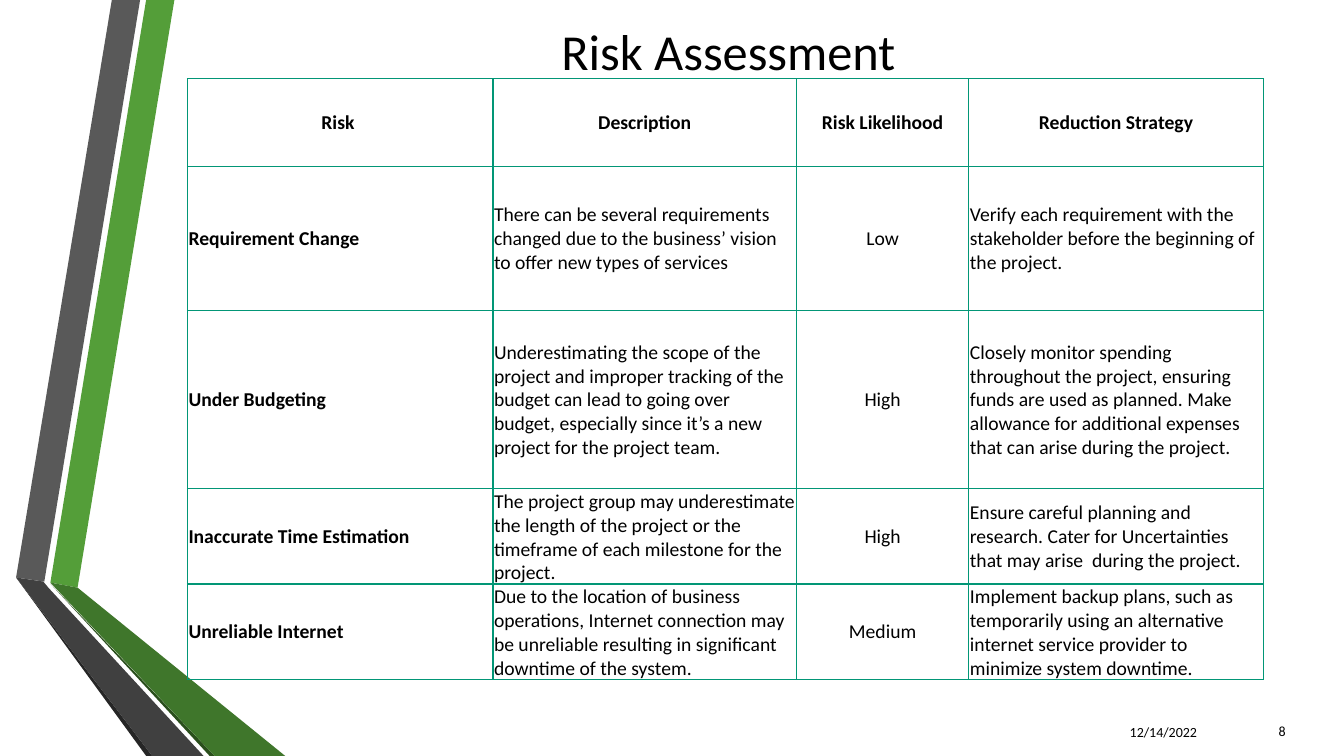
from lxml.etree import SubElement
from pptx import Presentation
from pptx.dml.color import RGBColor
from pptx.enum.text import MSO_ANCHOR, PP_ALIGN
from pptx.oxml.ns import qn
from pptx.util import Pt

PX = 9144  # EMU per px, 100 px to the inch
FONT = "Calibri"
BLACK = RGBColor(0x00, 0x00, 0x00)
TEAL = RGBColor(0x02, 0x96, 0x76)
GREEN = RGBColor(0x54, 0x9E, 0x39)
MID_GREEN = RGBColor(0x3F, 0x76, 0x2B)
DARK_GREEN = RGBColor(0x2A, 0x4F, 0x1C)
GREY = RGBColor(0x59, 0x59, 0x59)
MID_GREY = RGBColor(0x40, 0x40, 0x40)
DARK_GREY = RGBColor(0x26, 0x26, 0x26)

# Outlines relative to the top left corner of the ribbon area
RIBBONS = [
    (GREEN, [(34, 578), (61, 583), (157, 0), (129, 0)]),
    (GREY, [(123, 0), (95, 0), (0, 573), (28, 577)]),
    (DARK_GREY, [(0, 573), (129, 750), (135, 750)]),
    (DARK_GREEN, [(34, 579), (192, 750), (197, 750)]),
    (MID_GREEN, [(34, 578), (197, 750), (267, 750), (61, 583)]),
    (MID_GREY, [(186, 750), (32, 583), (27, 577), (0, 573), (135, 750)]),
]

COLUMN_WIDTHS = [303, 301, 171, 292]
ROW_HEIGHTS = [87, 143, 177, 86, 91]
LIKELIHOOD_COLUMN = 2
RISKS = [
    ("Risk ", "Description", "Risk Likelihood", "Reduction Strategy"),
    ("Requirement Change",
     "There can be several requirements changed due to the business’ vision "
     "to offer new types of services",
     "Low",
     "Verify each requirement with the stakeholder before the beginning of the project."),
    ("Under Budgeting",
     "Underestimating the scope of the project and improper tracking of the budget "
     "can lead to going over budget, especially since it’s a new project for the "
     "project team.",
     "High",
     "Closely monitor spending throughout the project, ensuring funds are used as "
     "planned. Make allowance for additional expenses that can arise during the project."),
    ("Inaccurate Time Estimation",
     "The project group may underestimate the length of the project or the timeframe "
     "of each milestone for the project.",
     "High",
     "Ensure careful planning and research. Cater for Uncertainties that may arise  "
     "during the project."),
    ("Unreliable Internet",
     "Due to the location of business operations, Internet connection may be "
     "unreliable resulting in significant downtime of the system.",
     "Medium",
     "Implement backup plans, such as temporarily using an alternative internet "
     "service provider to minimize system downtime."),
]


def style_paragraph(paragraph, size, align, bold=False):
    paragraph.alignment = align
    paragraph.font.name = FONT
    paragraph.font.size = Pt(size)
    paragraph.font.bold = bold
    paragraph.font.color.rgb = BLACK


def add_ribbons(slide, left, top):
    for color, outline in RIBBONS:
        points = [(left + x, top + y) for x, y in outline]
        builder = slide.shapes.build_freeform(*points[0], scale=PX)
        builder.add_line_segments(points[1:], close=True)
        ribbon = builder.convert_to_shape()
        ribbon.shadow.inherit = False
        ribbon.fill.solid()
        ribbon.fill.fore_color.rgb = color
        ribbon.line.fill.background()


def add_label(slide, left, top, width, height, text, size, align):
    label = slide.shapes.add_textbox(left * PX, top * PX, width * PX, height * PX)
    frame = label.text_frame
    frame.word_wrap = True
    frame.vertical_anchor = MSO_ANCHOR.MIDDLE
    frame.text = text
    style_paragraph(frame.paragraphs[0], size, align)


def add_cell_borders(cell):
    """Draw all four borders; they must precede the fill in the cell properties."""
    properties = cell._tc.get_or_add_tcPr()
    for side in ("a:lnL", "a:lnR", "a:lnT", "a:lnB"):
        border = SubElement(properties, qn(side), w=str(Pt(1)))
        fill = SubElement(border, qn("a:solidFill"))
        SubElement(fill, qn("a:srgbClr"), val=str(TEAL))


def add_risk_table(slide, left, top):
    frame = slide.shapes.add_table(
        len(RISKS), len(COLUMN_WIDTHS), left * PX, top * PX,
        sum(COLUMN_WIDTHS) * PX, sum(ROW_HEIGHTS) * PX)
    table = frame.table
    table.first_row = table.horz_banding = False
    for column, width in zip(table.columns, COLUMN_WIDTHS):
        column.width = width * PX
    for row, height in zip(table.rows, ROW_HEIGHTS):
        row.height = height * PX

    for r, risk in enumerate(RISKS):
        for c, text in enumerate(risk):
            cell = table.cell(r, c)
            cell.text = text
            cell.vertical_anchor = MSO_ANCHOR.MIDDLE
            cell.margin_left = cell.margin_right = cell.margin_top = PX
            cell.margin_bottom = 0
            centred = r == 0 or c == LIKELIHOOD_COLUMN
            align = PP_ALIGN.CENTER if centred else PP_ALIGN.LEFT
            style_paragraph(cell.text_frame.paragraphs[0], 14, align,
                            bold=r == 0 or c == 0)
            add_cell_borders(cell)
            cell.fill.background()


def main():
    presentation = Presentation()
    presentation.slide_width = 1333 * PX
    presentation.slide_height = 750 * PX
    slide = presentation.slides.add_slide(presentation.slide_layouts[6])
    add_ribbons(slide, 16, 0)
    add_label(slide, 175, 25, 1095, 50, "Risk Assessment", 36, PP_ALIGN.CENTER)
    add_risk_table(slide, 186, 78)
    add_label(slide, 1072, 706, 125, 40, "12/14/2022", 10, PP_ALIGN.RIGHT)
    add_label(slide, 1225, 705, 60, 40, "8", 10, PP_ALIGN.RIGHT)
    presentation.save("out.pptx")


if __name__ == "__main__":
    main()
